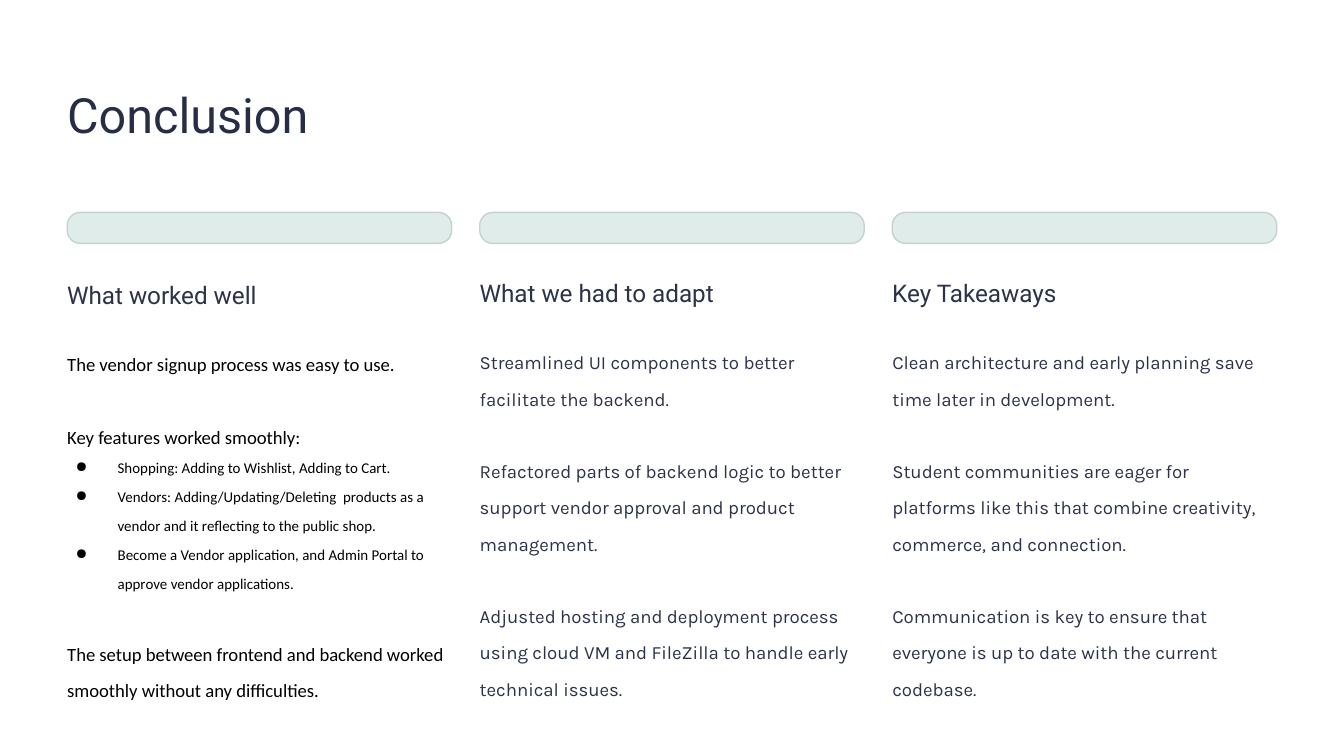
from dataclasses import dataclass

from lxml import etree
from pptx import Presentation
from pptx.dml.color import RGBColor
from pptx.enum import shapes, text
from pptx.oxml import ns
from pptx.util import Pt

COLORS = {
    "title": "272D45",
    "body": "2C3249",
    "black": "000000",
    "bar": "DFECE9",
    "bar_line": "C5D2CF",
}
LEFT, PITCH, COL_W = 36, 221, 206
BAR_TOP, BAR_H = 113.8, 16.6
HEAD_SPACING, BODY_SPACING = 1.24, 1.62
GAP = 19.4  # one body line between blocks


@dataclass
class Para:
    text: str
    gap: float = 0
    bullet: bool = False


@dataclass
class Column:
    heading: str
    paras: list[Para]
    font: str = "Karla"
    color: str = "body"
    shift: float = 0


COLUMNS = [
    Column("What worked well", [
        Para("The vendor signup process was easy to use."),
        Para("Key features worked smoothly:", GAP),
        Para("Shopping: Adding to Wishlist, Adding to Cart.", bullet=True),
        Para("Vendors: Adding/Updating/Deleting  products as a vendor and it "
             "reflecting to the public shop.", bullet=True),
        Para("Become a Vendor application, and Admin Portal to approve vendor "
             "applications.", bullet=True),
        Para("The setup between frontend and backend worked smoothly without "
             "any difficulties.", GAP),
    ], font="Calibri", color="black", shift=1),
    Column("What we had to adapt", [
        Para("Streamlined UI components to better facilitate the backend."),
        Para("Refactored parts of backend logic to better support vendor "
             "approval and product management.", GAP),
        Para("Adjusted hosting and deployment process using cloud VM and "
             "FileZilla to handle early technical issues.", GAP),
    ]),
    Column("Key Takeaways", [
        Para("Clean architecture and early planning save time later in "
             "development."),
        Para("Student communities are eager for platforms like this that "
             "combine creativity, commerce, and connection.", GAP),
        Para("Communication is key to ensure that everyone is up to date with "
             "the current codebase.", GAP),
    ]),
]


def place(sp, x: float, y: float, w: float, h: float):
    """Position a text shape and return its frame without insets."""
    sp.left, sp.top, sp.width, sp.height = Pt(x), Pt(y), Pt(w), Pt(h)
    tf = sp.text_frame
    tf.margin_left = tf.margin_top = tf.margin_right = tf.margin_bottom = 0
    tf.word_wrap = True
    tf.auto_size = text.MSO_AUTO_SIZE.NONE
    tf.vertical_anchor = text.MSO_ANCHOR.TOP
    return tf


def write(p, words: str, *, size: float, font: str, color: str,
          spacing: float, gap: float = 0) -> None:
    p.alignment = text.PP_ALIGN.LEFT
    p.line_spacing = spacing
    p.space_before = Pt(gap)
    r = p.add_run()
    r.text = words
    r.font.size = Pt(size)
    r.font.name = font
    r.font.color.rgb = RGBColor.from_string(COLORS[color])


def add_bullet(p) -> None:
    pPr = p._p.get_or_add_pPr()
    pPr.set("marL", str(Pt(27)))
    pPr.set("indent", str(Pt(-22.5)))
    clr = etree.SubElement(pPr, ns.qn("a:buClr"))
    etree.SubElement(clr, ns.qn("a:srgbClr"), val=COLORS["black"])
    etree.SubElement(pPr, ns.qn("a:buChar"), char="●")


def add_bar(s, x: float) -> None:
    sp = s.shapes.add_shape(shapes.MSO_SHAPE.ROUNDED_RECTANGLE,
                            Pt(x), Pt(BAR_TOP), Pt(COL_W), Pt(BAR_H))
    sp.adjustments[0] = 0.42
    sp.shadow.inherit = False
    sp.fill.solid()
    sp.fill.fore_color.rgb = RGBColor.from_string(COLORS["bar"])
    sp.line.color.rgb = RGBColor.from_string(COLORS["bar_line"])
    sp.line.width = Pt(0.75)


def add_column(s, x: float, col: Column) -> None:
    add_bar(s, x)

    # Heading
    tf = place(s.shapes.add_textbox(0, 0, 0, 0), x, 145.4 + col.shift, 128, 25)
    write(tf.paragraphs[0], col.heading, size=13, font="Roboto",
          color="body", spacing=HEAD_SPACING)

    # Body
    tf = place(s.shapes.add_textbox(0, 0, 0, 0), x, 180.7 + col.shift, COL_W, 200)
    for i, para in enumerate(col.paras):
        p = tf.add_paragraph() if i else tf.paragraphs[0]
        if para.bullet:
            add_bullet(p)
        write(p, para.text, size=8 if para.bullet else 10, font=col.font,
              color=col.color, spacing=BODY_SPACING, gap=para.gap)


def main() -> None:
    prs = Presentation()
    prs.slide_width, prs.slide_height = Pt(720), Pt(405)
    s = prs.slides.add_slide(prs.slide_layouts[5])

    # Title
    tf = place(s.shapes.title, LEFT, 38.2, 274, 51)
    write(tf.paragraphs[0], "Conclusion", size=26, font="Roboto",
          color="title", spacing=HEAD_SPACING)

    # Three columns
    for i, col in enumerate(COLUMNS):
        add_column(s, LEFT + i * PITCH, col)

    prs.save("out.pptx")


if __name__ == "__main__":
    main()
